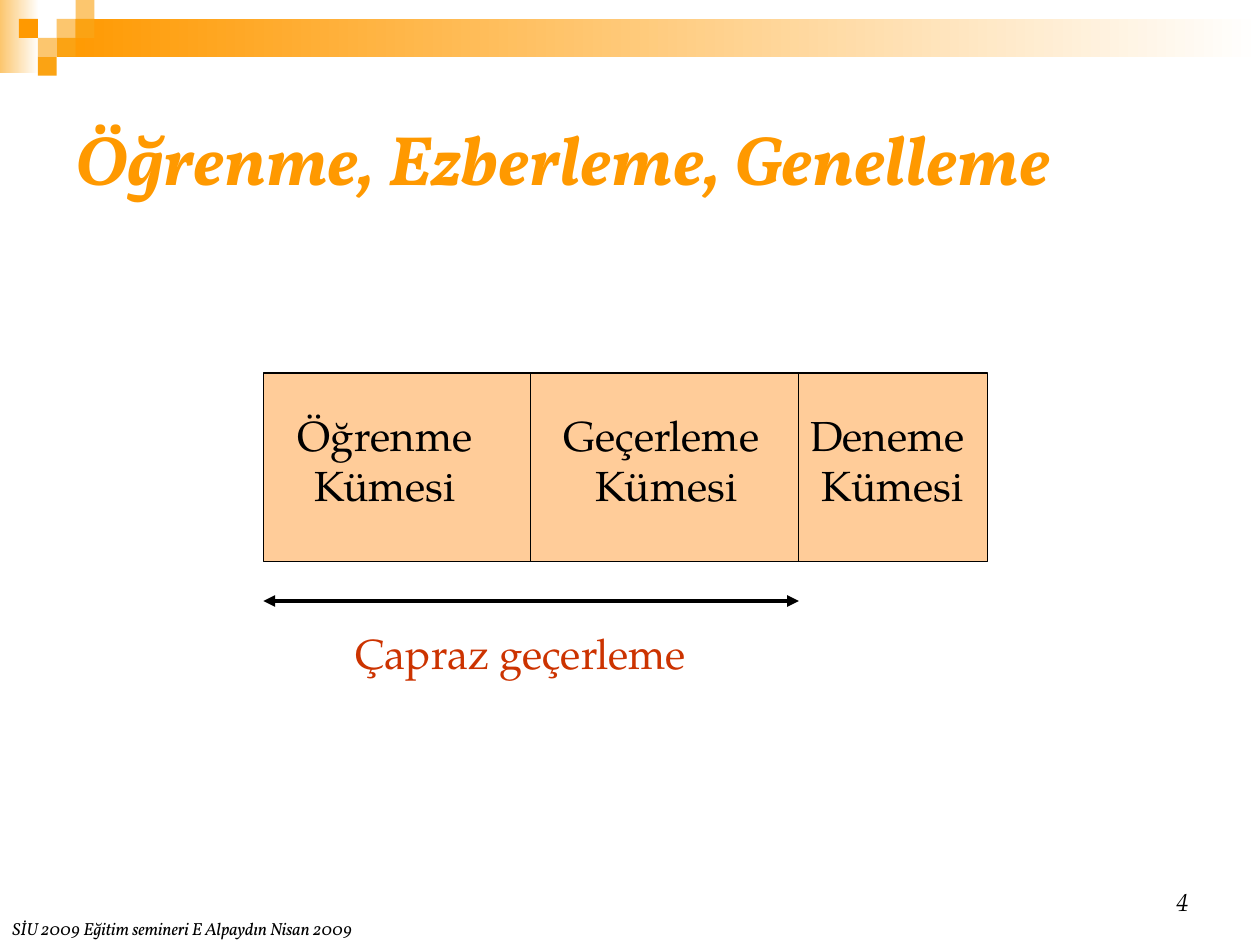
"""Build the slide on learning, validation and test sets."""
import dataclasses

import lxml.etree
import pptx
import pptx.dml.color
import pptx.enum.shapes
import pptx.enum.text
import pptx.oxml.ns
import pptx.util

Inches = pptx.util.Inches
Pt = pptx.util.Pt
Align = pptx.enum.text.PP_ALIGN
Anchor = pptx.enum.text.MSO_ANCHOR


@dataclasses.dataclass(frozen=True)
class Theme:
    """Hold the colours, fonts and type sizes."""
    orange: str = "FF9900"
    amber: str = "FBA313"
    sand: str = "FCC66E"
    peach: str = "FFCC99"
    red: str = "CC3300"
    black: str = "000000"
    white: str = "FFFFFF"
    display: str = "Vollkorn"
    body: str = "TeX Gyre Pagella"
    title_size: int = 40
    label_size: int = 24
    number_size: int = 14
    footer_size: int = 10


THEME = Theme()


def rgb(value):
    """Return the colour object for a hex string."""
    return pptx.dml.color.RGBColor.from_string(value)


def set_all(target, values):
    """Set every attribute in a dict of format values."""
    for name, value in values.items():
        setattr(target, name, value)


def add_rectangle(page, place, colour, line=None):
    """Add a rectangle filled with one colour, or fading to it from the right."""
    box = page.shapes.add_shape(
        pptx.enum.shapes.MSO_SHAPE.RECTANGLE, *map(Inches, place))
    box.shadow.inherit = False
    if isinstance(colour, tuple):
        box.fill.gradient()
        box.fill.gradient_angle = 180
        for stop, value in zip(box.fill.gradient_stops, colour):
            stop.color.rgb = rgb(value)
    else:
        box.fill.solid()
        box.fill.fore_color.rgb = rgb(colour)
    if line:
        box.line.color.rgb = rgb(line)
        box.line.width = Pt(0.75)
    else:
        box.line.fill.background()


def add_line(page, start, end, width, arrows=False):
    """Add a straight black line, with arrowheads at both ends if asked."""
    line = page.shapes.add_connector(
        pptx.enum.shapes.MSO_CONNECTOR.STRAIGHT, *map(Inches, start + end))
    line.line.color.rgb = rgb(THEME.black)
    line.line.width = Pt(width)
    qn = pptx.oxml.ns.qn
    properties = line.line._get_or_add_ln()
    for tag in ("a:headEnd", "a:tailEnd") if arrows else ():
        lxml.etree.SubElement(properties, qn(tag), type="triangle")
    lxml.etree.SubElement(line._element.spPr, qn("a:effectLst"))


def add_text(page, place, lines, size, font=THEME.body, colour=THEME.black,
             align=Align.LEFT, anchor=Anchor.TOP, wrap=True, **style):
    """Add a text box with one paragraph per line."""
    box = page.shapes.add_textbox(*map(Inches, place))
    set_all(box.text_frame, {"word_wrap": wrap, "vertical_anchor": anchor})
    for index, line in enumerate(lines):
        frame = box.text_frame
        para = frame.add_paragraph() if index else frame.paragraphs[0]
        para.alignment = align
        span = para.add_run()
        span.text = line
        set_all(span.font, {"name": font, "size": Pt(size), **style})
        span.font.color.rgb = rgb(colour)


def add_banner(page):
    """Add the fading bars and the mosaic of small squares."""
    add_rectangle(page, (0, 0, 0.31, 0.58), (THEME.white, THEME.sand))
    add_rectangle(page, (0.45, 0.15, 9.55, 0.3), (THEME.white, THEME.orange))
    side = 0.15
    squares = [
        (3, 1, THEME.sand), (4, 0, THEME.sand), (4, 1, THEME.amber),
        (2, 2, THEME.sand), (1, 1, THEME.orange), (3, 2, THEME.amber),
        (2, 3, THEME.amber),
    ]
    for column, row, colour in squares:
        add_rectangle(page, (column * side, row * side, side, side), colour)


def add_data_sets(page):
    """Add the bar split into three sets and the cross-validation span."""
    left, top, width, height = 2.09, 2.96, 5.75, 1.5
    dividers = (4.21, 6.34)
    add_rectangle(page, (left, top, width, height), THEME.peach, THEME.black)
    for x in dividers:
        add_line(page, (x, top), (x, top + height), 0.75)
    labels = [("Öğrenme ", 2.22, 1.67), ("Geçerleme ", 4.37, 1.84),
              ("Deneme ", 6.33, 1.51)]
    for name, x, label_width in labels:
        add_text(page, (x, 3.2, label_width, 0.9), (name, "Kümesi"),
                 THEME.label_size, align=Align.CENTER, wrap=False)
    add_line(page, (left, 4.77), (dividers[-1], 4.77), 2.25, arrows=True)
    add_text(page, (2.72, 4.93, 2.93, 0.9), ["Çapraz geçerleme"],
             THEME.label_size, colour=THEME.red, wrap=False)


def main():
    """Build and save the deck."""
    deck = pptx.Presentation()
    set_all(deck, {"slide_width": Inches(10), "slide_height": Inches(7.5)})
    page = deck.slides.add_slide(deck.slide_layouts[6])
    add_banner(page)
    add_text(page, (0.5, 0.5, 9, 1.5), ["Öğrenme, Ezberleme, Genelleme"],
             THEME.title_size, THEME.display, THEME.orange,
             anchor=Anchor.MIDDLE, bold=True, italic=True)
    add_data_sets(page)
    add_text(page, (0, 7.26, 6.61, 0.24),
             ["SİU 2009 Eğitim semineri E Alpaydın Nisan 2009"],
             THEME.footer_size, THEME.display, anchor=Anchor.BOTTOM, italic=True)
    add_text(page, (7.2, 6.82, 2.33, 0.5), ["4"], THEME.number_size,
             align=Align.RIGHT, anchor=Anchor.BOTTOM, italic=True)
    deck.save("out.pptx")


if __name__ == "__main__":
    main()
